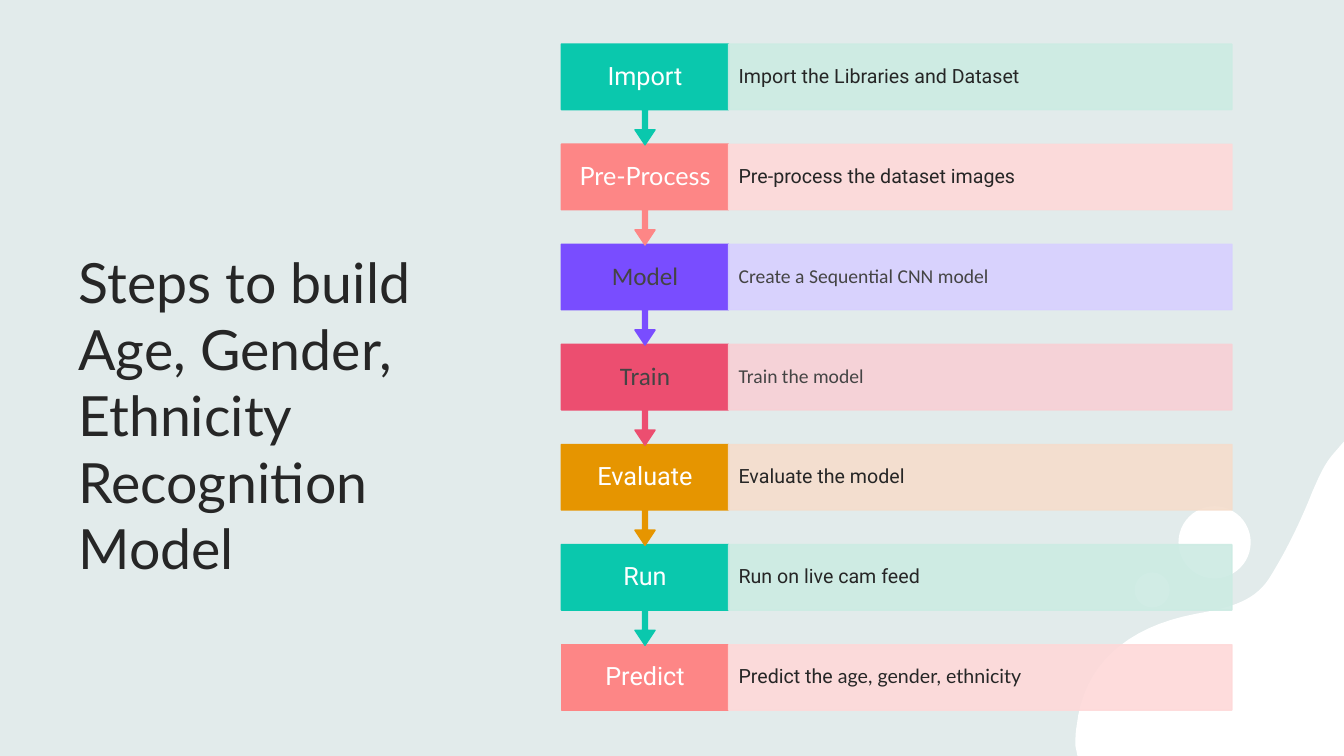
from pptx import Presentation
from pptx.dml.color import RGBColor
from pptx.enum.shapes import MSO_SHAPE
from pptx.enum.text import MSO_ANCHOR, PP_ALIGN
from pptx.oxml.ns import qn
from pptx.util import Pt
from lxml.etree import SubElement

TITLE = "Steps to build Age, Gender, Ethnicity Recognition Model"
STEPS = [
    ("Import", "Roboto", "teal", [("Import the Libraries and Dataset", "Roboto")]),
    ("Pre-Process", "Lato", "coral", [("Pre-process the dataset images", "Roboto")]),
    ("Model", "Calibri", "violet", [("Create a Sequential CNN model", "Calibri")]),
    ("Train", "Calibri", "rose", [("Train the model", "Calibri")]),
    ("Evaluate", "Roboto", "amber", [("Evaluate the model", "Roboto")]),
    ("Run", "Roboto", "teal", [("Run on live cam feed", "Roboto")]),
    ("Predict", "Roboto", "coral", [("Predict the ", "Roboto"), ("age, gender, ethnicity", "Lato")]),
]
THEME = {
    "page": "E9F3F3", "veil": "AEAEAE", "white": "FFFFFF", "ink": "262626", "gray": "444444",
    "teal": ("0AC8AD", "CCEBE3"), "coral": ("FD8686", "FED9D9"), "violet": ("794DFF", "D7D0FF"),
    "rose": ("EC4E70", "F8D0D5"), "amber": ("E69500", "F5DDCC"),
    "title": 39.6, "label": 18, "note": 14,
}
WIDE, HIGH = 960, 540
LEFT, TOP, PITCH = 401, 31.5, 71.5
LABEL, NOTE, ROW, CALL = 119.5, 359.5, 46.8, 72
DOTS = [(867.6, 387.4, 25.8), (823, 421.4, 12.5)]
WAVE = [
    (768.2, 532.8), (768.2, 528.5), (768.2, 523.4), (769, 519.1),
    (774, 474.5), (805, 447.8), (853.9, 438.5),
    (873.4, 434.9), (895, 431.3), (906.5, 413.3),
    (918.7, 393.8), (928.8, 373), (937.4, 351.4),
    (941.8, 341.3), (946.1, 331.2), (952.6, 324),
]


def curve(knots, parts=16):
    for i in range(0, len(knots) - 1, 3):
        for k in range(1, parts + 1):
            t = k / parts
            mix = ((1 - t) ** 3, 3 * t * (1 - t) ** 2, 3 * t * t * (1 - t), t ** 3)
            yield tuple(Pt(sum(m * p[a] for m, p in zip(mix, knots[i:i + 4]))) for a in (0, 1))


def paint(shape, color, alpha=100, edge=False):
    shape.shadow.inherit = False
    shape.fill.solid()
    shape.fill.fore_color.rgb = RGBColor.from_string(color)
    if edge:
        shape.line.width = Pt(1)
        shape.line.color.rgb = RGBColor.from_string(color)
    else:
        shape.line.fill.background()
    if alpha < 100:
        for node in shape.element.spPr.iter(qn("a:srgbClr")):
            SubElement(node, qn("a:alpha"), val=str(alpha * 1000))


def block(shapes, kind, box, color, alpha=100, edge=False):
    shape = shapes.add_shape(kind, *map(Pt, box))
    paint(shape, color, alpha, edge)
    return shape


def write(shape, runs, size, color, inset, align=PP_ALIGN.LEFT, anchor=MSO_ANCHOR.MIDDLE, space=0.9):
    frame = shape.text_frame
    frame.word_wrap = True
    frame.vertical_anchor = anchor
    frame.margin_left = frame.margin_right = Pt(inset[0])
    frame.margin_top = frame.margin_bottom = Pt(inset[1])
    para = frame.paragraphs[0]
    para.alignment = align
    para.line_spacing = space
    for text, face in runs:
        run = para.add_run()
        run.text = text
        run.font.name = face
        run.font.size = Pt(size)
        run.font.color.rgb = RGBColor.from_string(color)


def scene(slide):
    slide.background.fill.solid()
    slide.background.fill.fore_color.rgb = RGBColor.from_string(THEME["page"])
    shapes = slide.shapes
    block(shapes, MSO_SHAPE.RECTANGLE, (0, 0, WIDE, HIGH), THEME["veil"], 10)
    pen = shapes.build_freeform(Pt(WIDE), Pt(HIGH), 1)
    edge = [(Pt(769.7), Pt(HIGH)), tuple(map(Pt, WAVE[0])), *curve(WAVE), (Pt(WIDE), Pt(315.4))]
    pen.add_line_segments(edge, close=True)
    paint(pen.convert_to_shape(), THEME["white"])
    for x, y, r in DOTS:
        block(shapes, MSO_SHAPE.OVAL, (x - r, y - r, 2 * r, 2 * r), THEME["white"])
    title = shapes.add_textbox(Pt(49), Pt(122.4), Pt(288), Pt(296))
    write(title, [(TITLE, "Lato")], THEME["title"], THEME["ink"], (7.2, 3.6),
          anchor=MSO_ANCHOR.BOTTOM, space=1.0)


def step(shapes, i, name, face, hue, runs):
    deep, pale = THEME[hue]
    y = TOP + i * PITCH
    plain = face == "Calibri"
    if i == len(STEPS) - 1:
        label = block(shapes, MSO_SHAPE.RECTANGLE, (LEFT, y, LABEL, ROW), deep, edge=True)
    else:
        label = block(shapes, MSO_SHAPE.DOWN_ARROW_CALLOUT, (LEFT, y, LABEL, CALL), deep, edge=True)
        for k, part in enumerate((0.05, 0.1, 0.15, 0.65)):
            label.adjustments[k] = part
    write(label, [(name, face)], THEME["label"], THEME["gray" if plain else "white"],
          (8.6, 10), PP_ALIGN.CENTER)
    note = block(shapes, MSO_SHAPE.RECTANGLE, (LEFT + LABEL, y, NOTE, ROW), pale, 90, True)
    write(note, runs, THEME["note"], THEME["gray" if plain else "ink"], (7.2, 13.7))


def main():
    deck = Presentation()
    deck.slide_width, deck.slide_height = Pt(WIDE), Pt(HIGH)
    slide = deck.slides.add_slide(deck.slide_layouts[6])
    scene(slide)
    for i, row in reversed(list(enumerate(STEPS))):
        step(slide.shapes, i, *row)
    deck.save("out.pptx")


if __name__ == "__main__":
    main()
